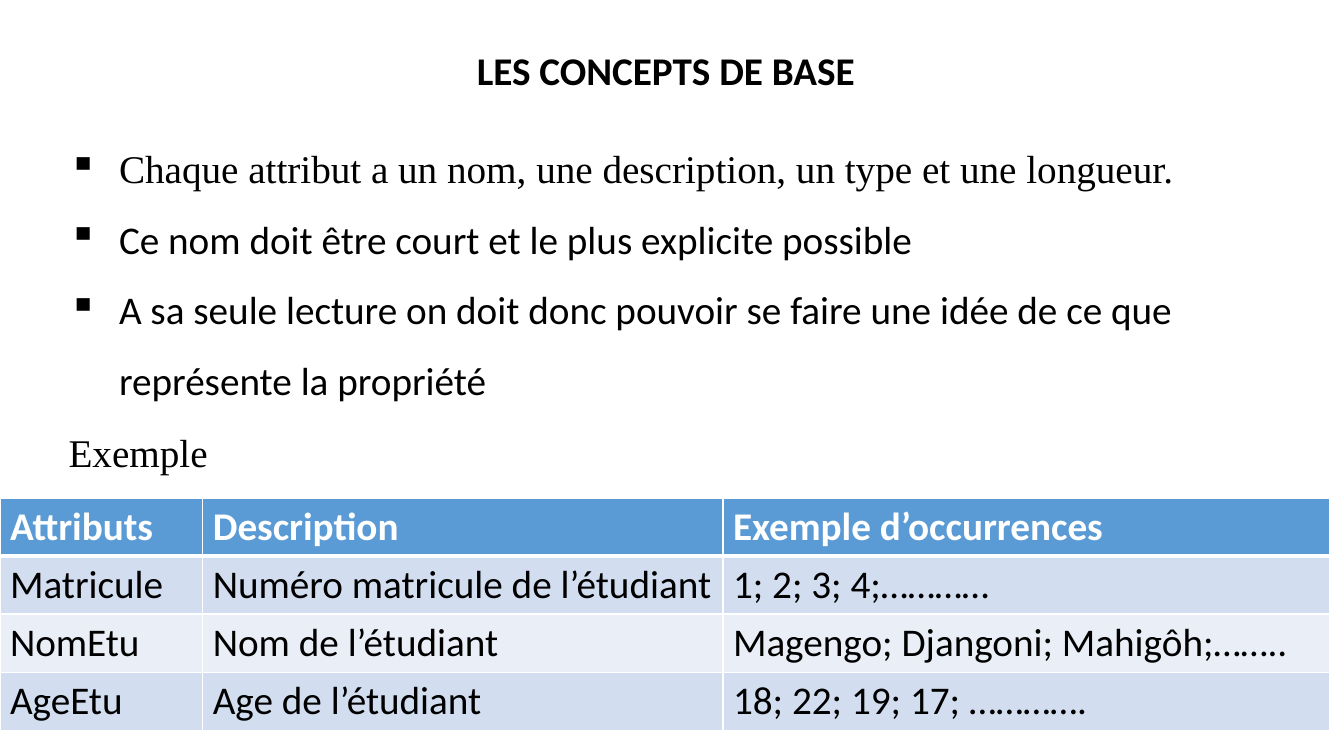
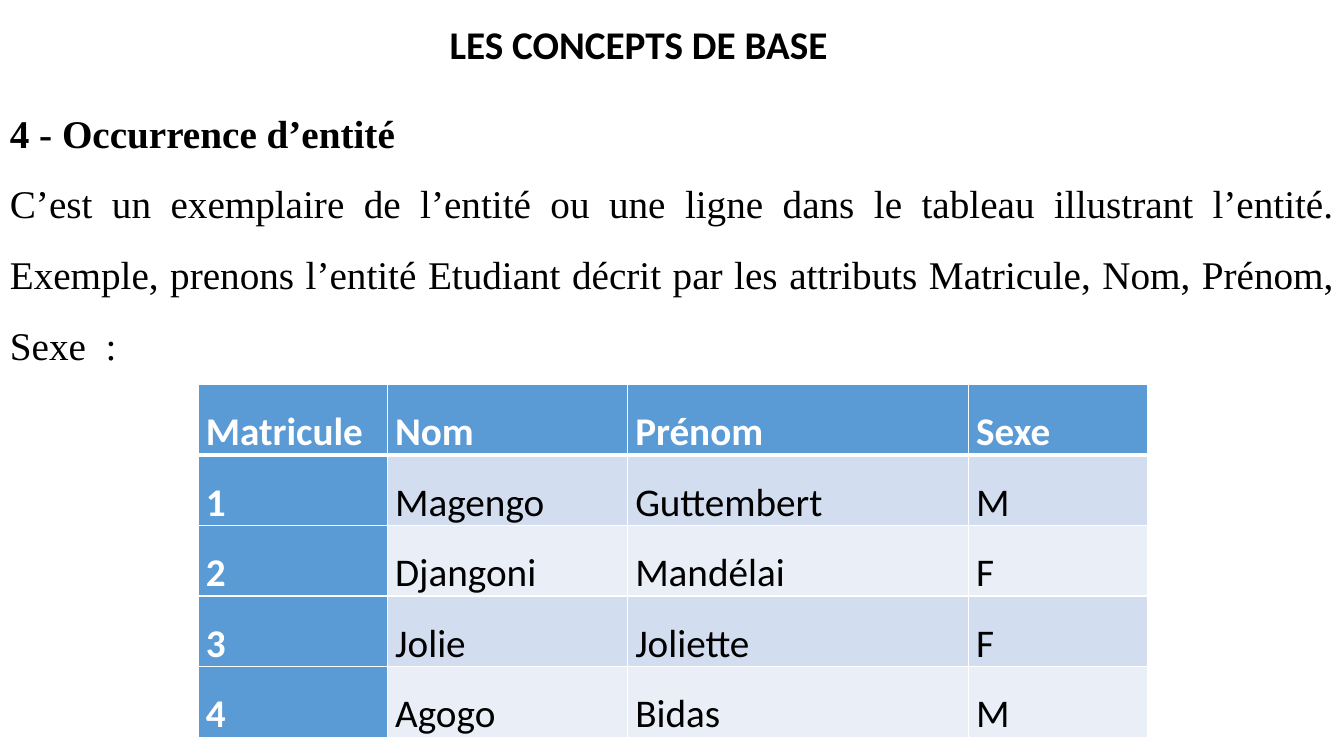
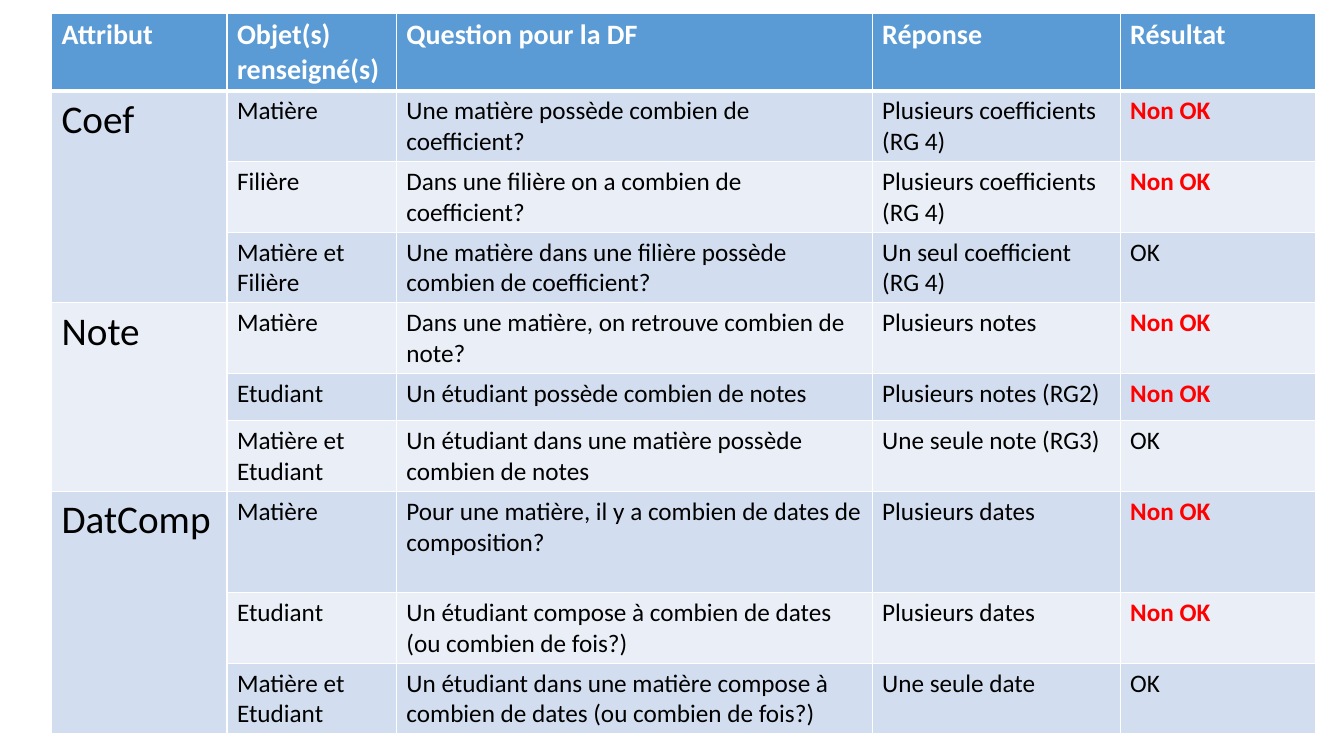
from dataclasses import dataclass

from lxml.etree import SubElement
from pptx import Presentation
from pptx.dml.color import RGBColor
from pptx.enum.text import MSO_AUTO_SIZE as AutoSize, PP_ALIGN as Align
from pptx.oxml import parse_xml
from pptx.oxml.ns import nsdecls, qn
from pptx.util import Cm, Pt


@dataclass(frozen=True)
class Theme:
    sans: str = "Calibri"
    serif: str = "Times New Roman"
    ink: str = "000000"
    white: str = "FFFFFF"
    header: str = "5B9BD5"
    bands: tuple = ("D2DEEF", "EAEFF7")
    alert: str = "FF0000"
    large: int = 28
    medium: int = 20
    small: int = 18
    thin: int = 1
    thick: int = 3
    loose: float = 1.5


THEME = Theme()


@dataclass(frozen=True)
class Style:
    """Look of one run of text."""
    font: str = THEME.sans
    size: int = THEME.large
    color: str = THEME.ink
    bold: bool = False


BODY = Style()
SERIF = Style(font=THEME.serif)
HEADING = Style(font=THEME.serif, bold=True)
TITLE = Style(bold=True)
HEADER = Style(color=THEME.white, bold=True)
SMALL_HEADER = Style(size=THEME.medium, color=THEME.white, bold=True)
SMALL = Style(size=THEME.small)
ALERT = Style(size=THEME.small, color=THEME.alert, bold=True)


@dataclass(frozen=True)
class Line:
    """One paragraph of a text box."""
    text: str
    style: Style = BODY
    align: Align = Align.LEFT
    spacing: float = 1.0
    bullet: str = ""


def write(paragraph, text, style, align=Align.LEFT, spacing=1.0):
    paragraph.alignment = align
    paragraph.line_spacing = spacing
    run = paragraph.add_run()
    run.text = text
    run.font.name = style.font
    run.font.size = Pt(style.size)
    run.font.bold = style.bold
    run.font.color.rgb = RGBColor.from_string(style.color)


def set_bullet(paragraph, char):
    """Hang the paragraph on a bullet character."""
    properties = paragraph._p.get_or_add_pPr()
    properties.set("marL", str(Cm(1.27)))
    properties.set("indent", str(-Cm(1.27)))
    SubElement(properties, qn("a:buChar")).set("char", char)


def add_text(slide, left, top, width, height, lines, wrap=True):
    frame = slide.shapes.add_textbox(Cm(left), Cm(top), Cm(width), Cm(height)).text_frame
    frame.word_wrap = wrap
    frame.auto_size = AutoSize.SHAPE_TO_FIT_TEXT
    for index, line in enumerate(lines):
        paragraph = frame.add_paragraph() if index else frame.paragraphs[0]
        write(paragraph, line.text, line.style, line.align, line.spacing)
        if line.bullet:
            set_bullet(paragraph, line.bullet)


def add_title(slide, left, top):
    add_text(slide, left, top, 18, 1.45,
             [Line("LES CONCEPTS DE BASE", TITLE, Align.CENTER)])


def set_borders(cell, top, bottom):
    properties = cell._tc.get_or_add_tcPr()
    widths = {"L": THEME.thin, "R": THEME.thin, "T": top, "B": bottom}
    for position, (side, width) in enumerate(widths.items()):
        properties.insert(position, parse_xml(
            f'<a:ln{side} {nsdecls("a")} w="{Pt(width)}"><a:solidFill>'
            f'<a:srgbClr val="{THEME.white}"/></a:solidFill></a:ln{side}>'))


def add_grid(slide, left, top, widths, heights, rows, style_of,
             key_column=False, compact=False):
    """Banded table; a None continues the cell above it.

    style_of(row, column, text) picks the text style of a cell.
    """
    table = slide.shapes.add_table(
        len(rows), len(widths), Cm(left), Cm(top),
        Cm(sum(widths)), Cm(sum(heights))).table
    for column, width in zip(table.columns, widths):
        column.width = Cm(width)
    for row, height in zip(table.rows, heights):
        row.height = Cm(height)

    for r, texts in enumerate(rows):
        for c, text in enumerate(texts):
            if text is None:
                continue
            last = r
            while last + 1 < len(rows) and rows[last + 1][c] is None:
                last += 1
            cell = table.cell(r, c)
            if last > r:
                cell.merge(table.cell(last, c))
            is_header = r == 0 or (key_column and c == 0)
            cell.fill.solid()
            cell.fill.fore_color.rgb = RGBColor.from_string(
                THEME.header if is_header else THEME.bands[(r - 1) % 2])
            set_borders(cell, THEME.thick if r == 1 else THEME.thin,
                        THEME.thick if r == 0 else THEME.thin)
            if compact:
                cell.margin_left = cell.margin_right = Cm(0.19)
                cell.margin_top = cell.margin_bottom = 0
            write(cell.text_frame.paragraphs[0], text, style_of(r, c, text),
                  Align.JUSTIFY if compact else Align.LEFT,
                  THEME.loose if compact else 1.0)


def attributes_slide(slide):
    rows = [
        ("Attributs", "Description", "Exemple d’occurrences"),
        ("Matricule", "Numéro matricule de l’étudiant", "1; 2; 3; 4;…………"),
        ("NomEtu", "Nom de l’étudiant", "Magengo; Djangoni; Mahigôh;…….."),
        ("AgeEtu", "Age de l’étudiant", "18; 22; 19; 17; …………."),
    ]
    add_grid(slide, 0, 12.55, (5.11, 13.11, 15.29), [1.46] * len(rows), rows,
             lambda r, c, text: BODY if r else HEADER)
    add_text(slide, 1.48, 10.67, 4.06, 1.45, [Line("Exemple", SERIF)], wrap=False)
    add_title(slide, 7.78, 1.04)
    add_text(slide, 1.48, 2.92, 30.56, 7.26, [
        Line("Chaque attribut a un nom, une description, un type et une longueur.",
             SERIF, Align.JUSTIFY, THEME.loose, "▪"),
        Line("Ce nom doit être court et le plus explicite possible",
             spacing=THEME.loose, bullet="▪"),
        Line("A sa seule lecture on doit donc pouvoir se faire une idée de ce que "
             "représente la propriété", spacing=THEME.loose, bullet="▪"),
    ])


def occurrence_slide(slide):
    add_title(slide, 7.09, 0.38)
    rows = [
        ("Matricule", "Nom", "Prénom", "Sexe"),
        ("1", "Magengo", "Guttembert", "M"),
        ("2", "Djangoni", "Mandélai", "F"),
        ("3", "Jolie", "Joliette", "F"),
        ("4", "Agogo", "Bidas", "M"),
    ]
    add_grid(slide, 5, 9.68, (4.77, 6.05, 8.59, 4.5), [1.78] * len(rows), rows,
             lambda r, c, text: BODY if r and c else HEADER,
             key_column=True, compact=True)
    add_text(slide, 0, 2.03, 33.87, 7.44, [
        Line("4 - Occurrence d’entité", HEADING, Align.JUSTIFY, THEME.loose),
        Line("C’est un exemplaire de l’entité ou une ligne dans le tableau illustrant "
             "l’entité. Exemple, prenons l’entité Etudiant décrit par les attributs "
             "Matricule, Nom, Prénom, Sexe  :", SERIF, Align.JUSTIFY, THEME.loose),
    ])


def dependency_style(row, column, text):
    if row == 0:
        return SMALL_HEADER
    if column == 0:
        return BODY
    return ALERT if text == "Non OK" else SMALL


def dependency_slide(slide):
    rows = [
        ("Attribut", "Objet(s) renseigné(s)", "Question pour la DF", "Réponse", "Résultat"),
        ("Coef", "Matière", "Une matière possède combien de coefficient?",
         "Plusieurs coefficients (RG 4)", "Non OK"),
        (None, "Filière", "Dans une filière on a combien de coefficient?",
         "Plusieurs coefficients (RG 4)", "Non OK"),
        (None, "Matière et Filière",
         "Une matière dans une filière possède combien de coefficient?",
         "Un seul coefficient (RG 4)", "OK"),
        ("Note", "Matière", "Dans une matière, on retrouve combien de note?",
         "Plusieurs notes", "Non OK"),
        (None, "Etudiant", "Un étudiant possède combien de notes",
         "Plusieurs notes (RG2)", "Non OK"),
        (None, "Matière et Etudiant",
         "Un étudiant dans une matière possède combien de notes",
         "Une seule note (RG3)", "OK"),
        ("DatComp", "Matière", "Pour une matière, il y a combien de dates de composition?",
         "Plusieurs dates", "Non OK"),
        (None, "Etudiant", "Un étudiant compose à combien de dates (ou combien de fois?)",
         "Plusieurs dates", "Non OK"),
        (None, "Matière et Etudiant",
         "Un étudiant dans une matière compose à combien de dates (ou combien de fois?)",
         "Une seule date", "OK"),
    ]
    two_lines = 1.78
    heights = [1.96, *[two_lines] * 4, 1.19, two_lines, 2.55, two_lines, two_lines]
    add_grid(slide, 1.3, 0.33, (4.42, 4.27, 11.99, 6.25, 4.93), heights, rows,
             dependency_style)


def main():
    deck = Presentation()
    deck.slide_width, deck.slide_height = Cm(33.87), Cm(19.05)
    blank = deck.slide_layouts[6]
    for build in (attributes_slide, occurrence_slide, dependency_slide):
        build(deck.slides.add_slide(blank))
    deck.save("out.pptx")


if __name__ == "__main__":
    main()
